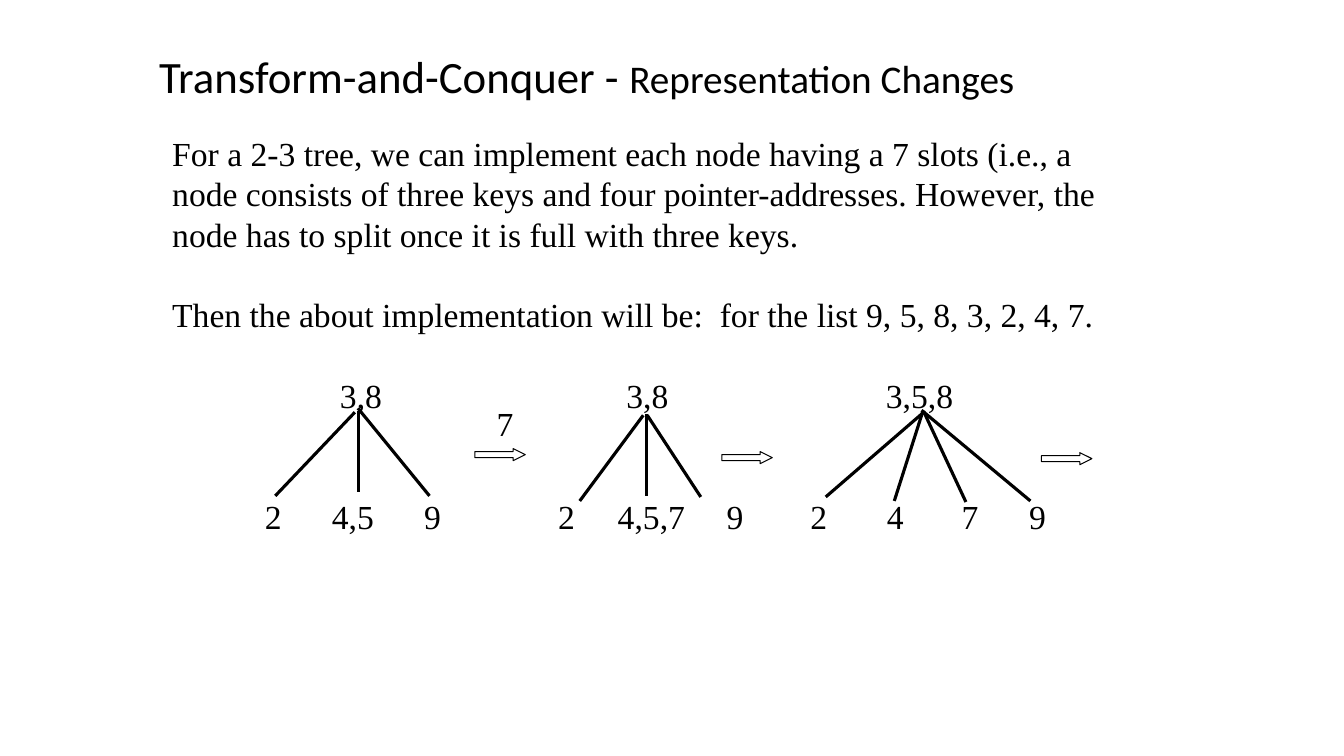
import pptx
import pptx.dml.color
import pptx.enum.shapes
import pptx.enum.text
import pptx.oxml.ns
import pptx.util
from lxml import etree
from pptx.util import Inches

SERIF = "Times New Roman"
BLACK = "000000"
LABEL_HEIGHT = 0.5
ROOT_Y, LEAF_Y, ARRIVING_KEY_Y = 3.92, 5.12, 4.2

# Each tree: root keys, root centre, then leaves as (keys, centre, edge start, edge end).
TREES = [
    ("3,8", 3.58, [
        ("2", 2.71, (3.52, 4.09), (2.73, 4.92)),
        ("4,5", 3.5, (3.56, 4.08), (3.56, 4.88)),
        ("9", 4.29, (3.55, 4.05), (4.26, 4.92)),
    ]),
    ("3,8", 6.42, [
        ("2", 5.62, (6.38, 4.12), (5.75, 4.97)),
        ("4,5,7", 6.46, (6.41, 4.11), (6.41, 4.92)),
        ("9", 7.29, (6.42, 4.12), (6.95, 4.93)),
    ]),
    ("3,5,8", 9.12, [
        ("2", 8.12, (9.15, 4.1), (8.19, 4.93)),
        ("4", 8.88, (9.15, 4.09), (8.87, 4.97)),
        ("7", 9.62, (9.16, 4.08), (9.58, 4.98)),
        ("9", 10.29, (9.14, 4.07), (10.22, 4.97)),
    ]),
]
STEP_ARROWS = [(4.71, 4.45), (7.16, 4.48), (10.33, 4.49)]
EXPLANATION = [
    "For a 2-3 tree, we can implement each node having a 7 slots (i.e., a node "
    "consists of three keys and four pointer-addresses. However, the node has to "
    "split once it is full with three keys.",
    "Then the about implementation will be:  for the list 9, 5, 8, 3, 2, 4, 7.",
]


def color(value):
    """Turn a hex string into a colour."""
    return pptx.dml.color.RGBColor.from_string(value)


def add_run(paragraph, text, size, font):
    """Append a black run to a paragraph."""
    run = paragraph.add_run()
    run.text = text
    run.font.size = pptx.util.Pt(size)
    run.font.name = font
    run.font.color.rgb = color(BLACK)


def add_text_frame(slide, left, top, width, height, wrap=True):
    """Add a text box and return its text frame."""
    box = slide.shapes.add_textbox(
        Inches(left), Inches(top), Inches(width), Inches(height))
    box.text_frame.word_wrap = wrap
    return box.text_frame


def add_title(slide):
    """Add the two-size heading."""
    heading = add_text_frame(slide, 1.48, 0.43, 8.95, 0.64, wrap=False).paragraphs[0]
    add_run(heading, "Transform-and-Conquer - ", 32, "Calibri")
    add_run(heading, "Representation Changes", 28, "Calibri")


def add_explanation(slide):
    """Add the body paragraphs, one line apart."""
    frame = add_text_frame(slide, 1.61, 1.27, 9.49, 2.1)
    line_height = pptx.util.Pt(28.8)
    for index, text in enumerate(EXPLANATION):
        paragraph = frame.add_paragraph() if index else frame.paragraphs[0]
        paragraph.line_spacing = line_height
        if index:
            paragraph.space_before = line_height
        add_run(paragraph, text, 24, SERIF)


def add_keys(slide, keys, center_x, center_y):
    """Add a key label centred on a point."""
    width = 0.3 + 0.15 * len(keys)
    frame = add_text_frame(slide, center_x - width / 2, center_y - LABEL_HEIGHT / 2,
                           width, LABEL_HEIGHT, wrap=False)
    label = frame.paragraphs[0]
    label.alignment = pptx.enum.text.PP_ALIGN.CENTER
    add_run(label, keys, 24, SERIF)


def add_edge(slide, start, end):
    """Add a tree edge from a root to a leaf."""
    edge = slide.shapes.add_connector(
        pptx.enum.shapes.MSO_CONNECTOR.STRAIGHT,
        *(Inches(value) for value in start + end))
    edge.line.color.rgb = color(BLACK)
    edge.line.width = pptx.util.Pt(2.25)
    etree.SubElement(edge._element.spPr, pptx.oxml.ns.qn("a:effectLst"))


def add_tree(slide, root, root_x, leaves):
    """Add a root, its leaves and the edges between them."""
    add_keys(slide, root, root_x, ROOT_Y)
    for keys, leaf_x, start, end in leaves:
        add_keys(slide, keys, leaf_x, LEAF_Y)
        add_edge(slide, start, end)


def add_step_arrow(slide, left, top):
    """Add the outlined arrow leading to the next step."""
    arrow = slide.shapes.add_shape(
        pptx.enum.shapes.MSO_SHAPE.RIGHT_ARROW,
        Inches(left), Inches(top), Inches(0.5), Inches(0.12))
    arrow.adjustments[0] = 0.5
    arrow.adjustments[1] = 1
    arrow.shadow.inherit = False
    arrow.fill.solid()
    arrow.fill.fore_color.rgb = color("FFFFFF")
    arrow.line.color.rgb = color(BLACK)
    arrow.line.width = pptx.util.Pt(0.75)


def main():
    """Build and save the slide."""
    deck = pptx.Presentation()
    deck.slide_width, deck.slide_height = Inches(13.33), Inches(7.5)
    slide = deck.slides.add_slide(deck.slide_layouts[6])
    add_explanation(slide)
    for tree in TREES:
        add_tree(slide, *tree)
    for left, top in STEP_ARROWS:
        add_step_arrow(slide, left, top)
    add_keys(slide, "7", 5.01, ARRIVING_KEY_Y)
    add_title(slide)
    deck.save("out.pptx")


if __name__ == "__main__":
    main()
